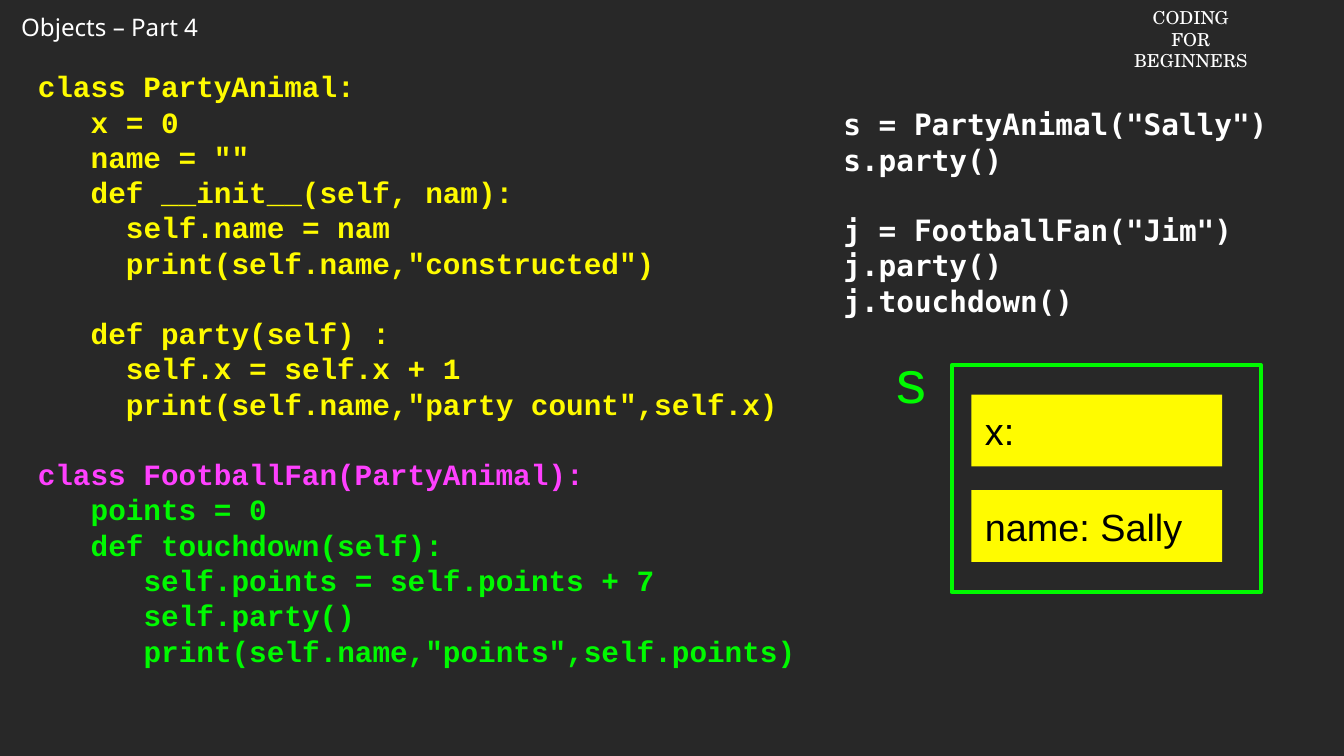
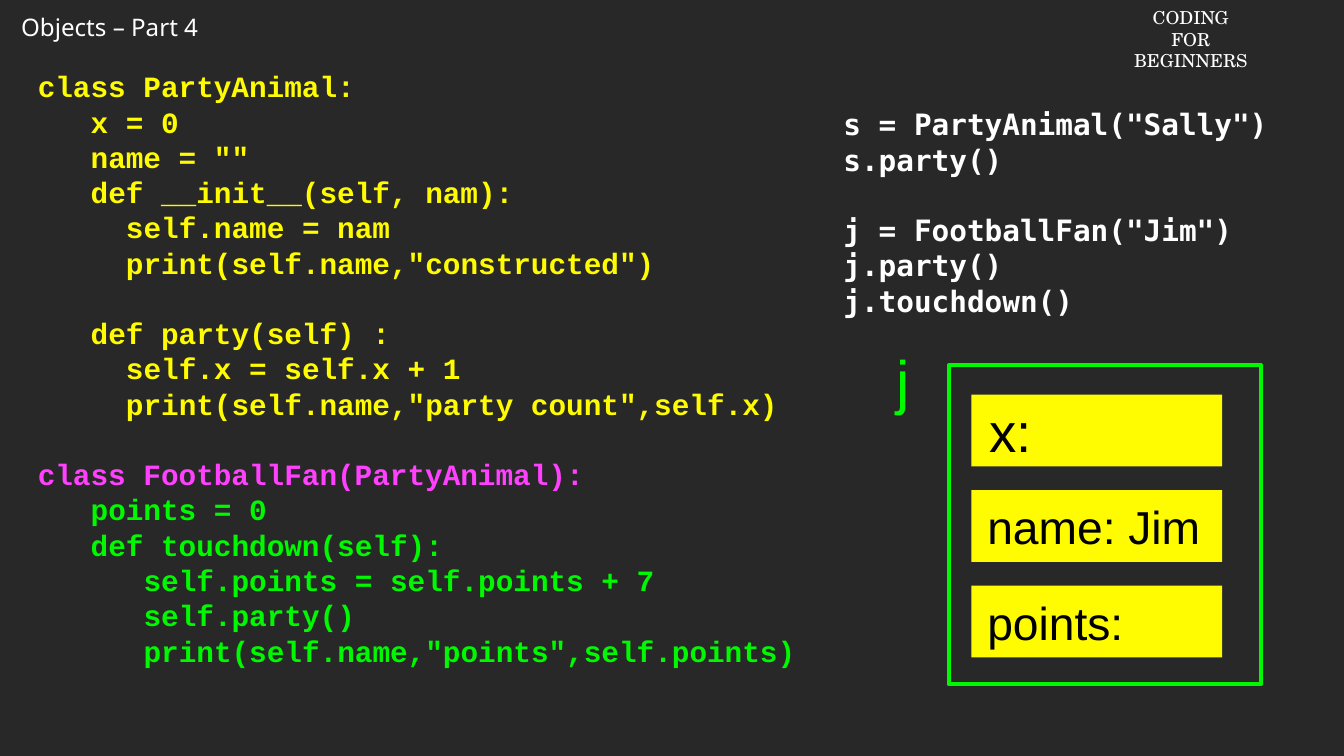
import pptx
import pptx.util
import pptx.dml.color
import pptx.enum.shapes
import pptx.enum.text

Cm = pptx.util.Cm
Pt = pptx.util.Pt
RGBColor = pptx.dml.color.RGBColor
ANCHOR = pptx.enum.text.MSO_ANCHOR
ALIGN = pptx.enum.text.PP_ALIGN

DARK = RGBColor(0x28, 0x28, 0x28)
WHITE = RGBColor(0xFF, 0xFF, 0xFF)
BLACK = RGBColor(0x00, 0x00, 0x00)
YELLOW = RGBColor(0xFF, 0xFB, 0x00)
MAGENTA = RGBColor(0xFF, 0x40, 0xFF)
GREEN = RGBColor(0x00, 0xF9, 0x00)
LABEL_GREEN = RGBColor(0x00, 0xFA, 0x00)

TITLE = "Objects – Part 4"
COURSE = [("CODING", "FOR", "BEGINNERS")]

CLASS_CODE = [
    [
        (0, "class PartyAnimal:", YELLOW),
        (3, "x = 0", YELLOW),
        (3, 'name = ""', YELLOW),
        (3, "def __init__(self, nam):", YELLOW),
        (5, "self.name = nam", YELLOW),
        (5, 'print(self.name,"constructed")', YELLOW),
    ],
    [
        (3, "def party(self) :", YELLOW),
        (5, "self.x = self.x + 1", YELLOW),
        (5, 'print(self.name,"party count",self.x)', YELLOW),
    ],
    [
        (0, "class FootballFan(PartyAnimal):", MAGENTA),
        (3, "points = 0", GREEN),
        (3, "def touchdown(self):", GREEN),
        (6, "self.points = self.points + 7", GREEN),
        (6, "self.party()", GREEN),
        (6, 'print(self.name,"points",self.points)', GREEN),
    ],
]
CALL_CODE = [
    ('s = PartyAnimal("Sally")', "s.party()"),
    ('j = FootballFan("Jim")', "j.party()", "j.touchdown()"),
]

OBJECTS = [
    {
        "label": "s",
        "frame": (31.98, 12.27, 10.39, 7.62),
        "fields": [("x:", 36), ("name: Sally", 36)],
    },
    {
        "label": "j",
        "frame": (31.88, 12.27, 10.49, 10.72),
        "fields": [("x:", 52), ("name: Jim", 44), ("points:", 44)],
    },
]

TITLE_AREA = (0.46, 0.3, 6.78, 1.24)
COURSE_AREA = (37.8, 0.1, 4.42, 1.7)
CLASS_AREA = (1.17, 0.76, 26.44, 23.22)
CALL_AREA = (28.24, 2.97, 16.08, 8.33)
LABEL_AREA = (29.67, 11.33, 1.7, 2.9)
FIELD_LEFT, FIELD_TOP = 32.64, 13.26
FIELD_WIDTH, FIELD_HEIGHT, FIELD_PITCH = 8.43, 2.41, 3.21
LEADING = 1.2
CODE_SIZE = 28
MONO_WIDTH = 0.6
SPACE_WIDTH = 0.28
SMALL_INSET = (0.1, 0.1)


def put_text(box, blocks, font="Arial", size=CODE_SIZE, color=WHITE, bold=False,
             align=ALIGN.LEFT, anchor=ANCHOR.TOP, inset=(0.25, 0.13), wrap=True):
    frame = box.text_frame
    frame.auto_size = pptx.enum.text.MSO_AUTO_SIZE.NONE
    frame.word_wrap = wrap
    frame.vertical_anchor = anchor
    frame.margin_left = frame.margin_right = Cm(inset[0])
    frame.margin_top = frame.margin_bottom = Cm(inset[1])
    para = frame.paragraphs[0]
    for block_index, block in enumerate(blocks):
        for line_index, line in enumerate(block):
            indent, text, shade = (0, line, color) if isinstance(line, str) else line
            if block_index or line_index:
                para = frame.add_paragraph()
            para.alignment = align
            para.line_spacing = Pt(LEADING * size)
            if block_index and not line_index:
                para.space_before = Pt(LEADING * size)
            if indent:
                margin = Pt(indent * MONO_WIDTH * size)
                para._p.get_or_add_pPr().set("marL", str(margin))
            span = para.add_run()
            span.text = text
            span.font.name = font
            span.font.size = Pt(size)
            span.font.bold = bold
            span.font.color.rgb = shade


def add_text(page, area, blocks, **style):
    box = page.shapes.add_textbox(*map(Cm, area))
    put_text(box, blocks, **style)


def add_rectangle(page, area, fill=None, line=None):
    box = page.shapes.add_shape(pptx.enum.shapes.MSO_SHAPE.RECTANGLE, *map(Cm, area))
    box.shadow.inherit = False
    if fill is None:
        box.fill.background()
    else:
        box.fill.solid()
        box.fill.fore_color.rgb = fill
    if line is None:
        box.line.fill.background()
    else:
        box.line.color.rgb = line
        box.line.width = Pt(4)
    return box


def add_shared(page):
    title = page.shapes.title
    title.left, title.top, title.width, title.height = map(Cm, TITLE_AREA)
    put_text(title, [(TITLE,)], font="Noto Sans", size=23, wrap=False)
    add_text(page, COURSE_AREA, COURSE, font="TeX Gyre Schola", size=17,
             align=ALIGN.CENTER, wrap=False)
    code_style = {"bold": True, "anchor": ANCHOR.MIDDLE, "inset": SMALL_INSET}
    add_text(page, CLASS_AREA, CLASS_CODE, font="Courier New", **code_style)
    add_text(page, CALL_AREA, CALL_CODE, font="DejaVu Sans Mono", **code_style)


def add_object(page, item):
    add_rectangle(page, item["frame"], line=GREEN)
    for index, (text, size) in enumerate(item["fields"]):
        top = FIELD_TOP + index * FIELD_PITCH
        field = add_rectangle(page, (FIELD_LEFT, top, FIELD_WIDTH, FIELD_HEIGHT), fill=YELLOW)
        left_inset = SMALL_INSET[0] + Pt(SPACE_WIDTH * size).cm
        put_text(field, [(text,)], size=size, color=BLACK, anchor=ANCHOR.MIDDLE,
                 inset=(left_inset, SMALL_INSET[1]), wrap=False)
    add_text(page, LABEL_AREA, [(item["label"],)], size=57, color=LABEL_GREEN,
             inset=(0.46, 0.23))


def main():
    deck = pptx.Presentation()
    deck.slide_width, deck.slide_height = Cm(45.16), Cm(25.4)
    background = deck.slide_master.background.fill
    background.solid()
    background.fore_color.rgb = DARK
    for item in OBJECTS:
        page = deck.slides.add_slide(deck.slide_layouts.get_by_name("Title Only"))
        add_shared(page)
        add_object(page, item)
    deck.save("out.pptx")


if __name__ == "__main__":
    main()
